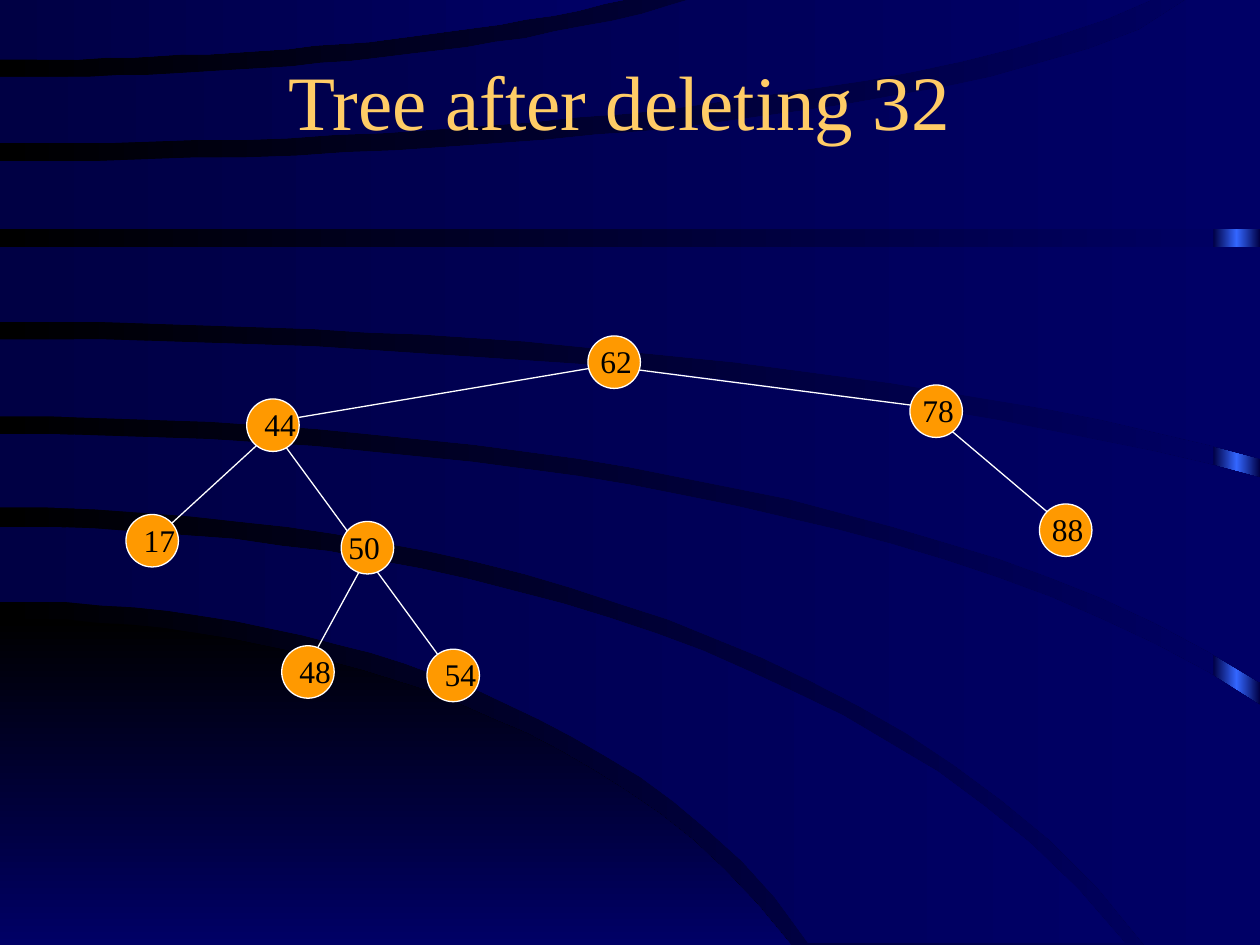
from copy import deepcopy
from math import sqrt
from lxml import etree
from pptx import Presentation
from pptx.dml.color import RGBColor
from pptx.enum.shapes import MSO_CONNECTOR, MSO_SHAPE
from pptx.enum.text import MSO_ANCHOR, PP_ALIGN
from pptx.oxml.ns import qn
from pptx.util import Pt

LINE = MSO_CONNECTOR.STRAIGHT
OVAL = MSO_SHAPE.OVAL
RECT = MSO_SHAPE.RECTANGLE
MID = MSO_ANCHOR.MIDDLE
CENTER = PP_ALIGN.CENTER
LEFT = PP_ALIGN.LEFT
FONT = "Times New Roman"
STEPS = 24
HUES = {
    "black": "000000", "navy": "000066", "dark": "000044", "blue": "3366FF",
    "gold": "FFCC66", "orange": "FF9900", "white": "FFFFFF",
}


def blend(fill, angle, names):
    fill.gradient()
    fill.gradient_angle = angle
    for stop, name in zip(fill.gradient_stops, names):
        stop.color.rgb = RGBColor.from_string(HUES[name])


def write(box, text, size, hue, align):
    frame = box.text_frame
    frame.word_wrap = True
    frame.text = text
    para = frame.paragraphs[0]
    para.alignment = align
    font = para.runs[0].font
    font.name = FONT
    font.size = Pt(size)
    font.color.rgb = RGBColor.from_string(HUES[hue])


deck = Presentation()
deck.slide_width, deck.slide_height = Pt(720), Pt(540)
slide = deck.slides.add_slide(deck.slide_layouts[6])
shapes = slide.shapes
blend(slide.background.fill, 0, ["black", "navy"])

bar = shapes.add_shape(RECT, Pt(693.4), Pt(0), Pt(26.6), Pt(540))
bar.shadow.inherit = False
bar.line.fill.background()
blend(bar.fill, 0, ["dark", "dark"])
first = bar._element.spPr.find(".//" + qn("a:gs"))
first.addnext(deepcopy(first))
glow = bar.fill.gradient_stops[1]
glow.position = 0.5
glow.color.rgb = RGBColor.from_string(HUES["blue"])

bands = [
    ((353.5, 500, 326, 452), (540, 500, 0, 452), 270, "black"),
    ((301, 700, 394, 643), (343.5, 500, 317, 462), 0, "dark"),
    ((248, 800, 275, 720), (290, 710, 409, 654), 0, "dark"),
    ((194, 1000, 258, 720), (238, 810, 281, 720), 0, "dark"),
    ((141, 800, 0, 720), (184, 950, 224, 720), 0, "dark"),
    ((92, 690, -113, 679), (131, 800, 0, 720), 0, "dark"),
    ((44.5, 500, -115, 400), (82, 700, -124, 660), 0, "dark"),
    ((-1, 500, 0, 361), (34, 480, -103, 361), 0, "dark"),
]
for top, base, angle, hue in bands:
    sides = []
    for y, wide, high, end in (top, base):
        side = []
        for i in range(STEPS + 1):
            x = end * i / STEPS
            side.append((x, y + high * (1 - sqrt(1 - (x / wide) ** 2))))
        sides.append(side)
    upper, lower = sides
    ends = [upper[-1], lower[-1]]
    corner = (max(ends)[0], min(ends)[1])
    dots = upper + [corner] + lower[::-1]
    pen = shapes.build_freeform(*dots[0], scale=Pt(1))
    pen.add_line_segments(dots[1:], close=True)
    band = pen.convert_to_shape()
    band.shadow.inherit = False
    band.line.fill.background()
    blend(band.fill, angle, [hue, "navy"])

title = shapes.add_textbox(Pt(48), Pt(12), Pt(612), Pt(90))
title.text_frame.vertical_anchor = MID
write(title, "Tree after deleting 32", 44, "gold", CENTER)

edges = [
    (210, 318, 174, 384), (156, 246, 84, 312), (354, 210, 540, 234),
    (162, 240, 352, 208), (152, 240, 267, 397), (534, 238, 612, 304),
]
for edge in edges:
    link = shapes.add_connector(LINE, *map(Pt, edge))
    link.line.color.rgb = RGBColor.from_string(HUES["white"])
    link.line.width = Pt(0.75)
    etree.SubElement(link._element.spPr, qn("a:effectLst"))

nodes = [
    ("62", 336, 192, 0), ("78", 520, 220, 0), ("88", 594, 288, 0),
    ("44", 141, 228, 3), ("17", 72, 294, 3), ("50", 195, 298, -3),
    ("54", 244, 371, 3), ("48", 161, 369, 3),
]
for key, x, y, shift in nodes:
    disc = shapes.add_shape(OVAL, Pt(x), Pt(y), Pt(30), Pt(30))
    disc.shadow.inherit = False
    disc.fill.solid()
    disc.fill.fore_color.rgb = RGBColor.from_string(HUES["orange"])
    disc.line.color.rgb = RGBColor.from_string(HUES["white"])
    disc.line.width = Pt(0.75)
    label = shapes.add_textbox(Pt(x + shift), Pt(y), Pt(36), Pt(29))
    write(label, key, 18, "black", LEFT)

deck.save("out.pptx")
